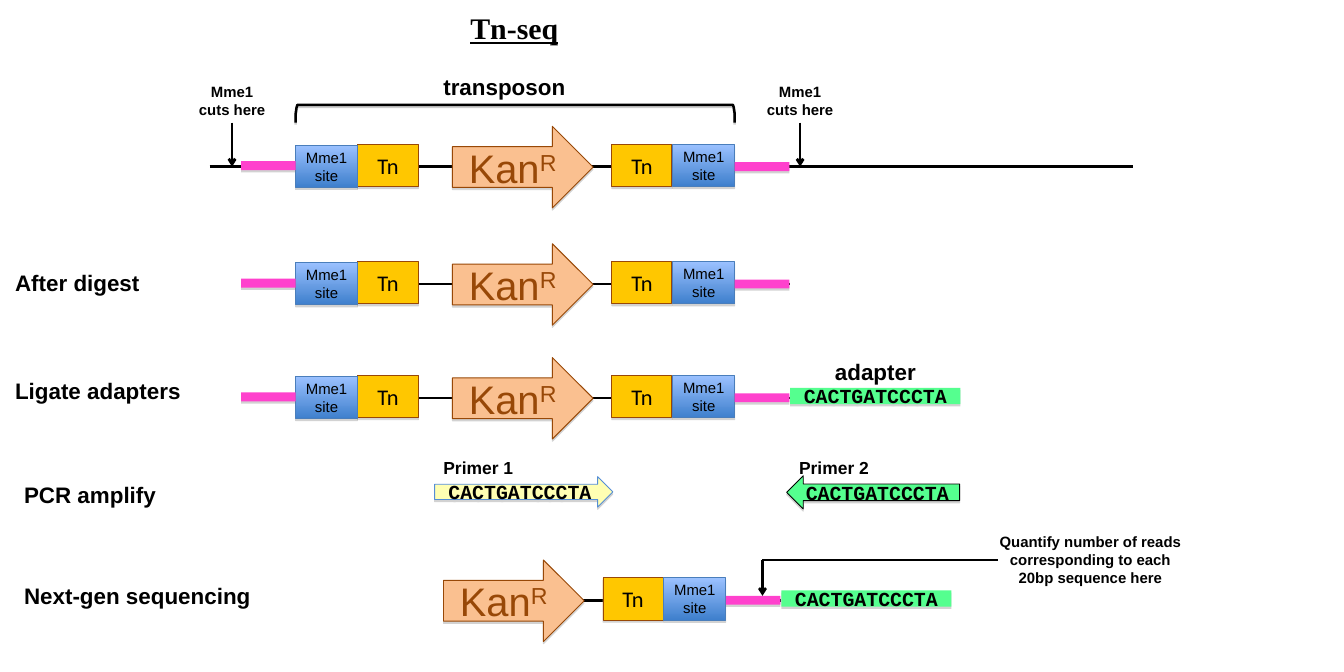
import pptx
import pptx.dml.color
import pptx.enum.shapes
import pptx.enum.text
import pptx.oxml
import pptx.oxml.ns
import pptx.util

SCALE = 9144  # EMU in one px, at 100 px to the inch

COLORS = {
    "black": "000000", "kan": "FAC090", "brown": "984807", "tn": "FFC700",
    "site_top": "9BC1FF", "site_bottom": "3F80CD", "site_line": "4A7EBB",
    "flank": "FF41CD", "adapter": "55FF8F", "primer": "FFFFB3",
    "primer_line": "558ED5", "shadow": "808080",
}

SHAPES = pptx.enum.shapes.MSO_SHAPE
LEFT = pptx.enum.text.PP_ALIGN.LEFT
CENTER = pptx.enum.text.PP_ALIGN.CENTER

FONTS = {
    "title": {"name": "Times New Roman", "size": 24, "bold": True, "underline": True},
    "heading": {"name": "Arial", "size": 18, "bold": True},
    "primer": {"name": "Arial", "size": 14, "bold": True},
    "note": {"name": "Arial", "size": 12, "bold": True},
    "kan": {"name": "Arial", "size": 32},
    "tn": {"name": "Calibri", "size": 18},
    "site": {"name": "Arial", "size": 12},
    "sequence": {"name": "Courier New", "size": 16, "bold": True},
}

SEQUENCE = "CACTGATCCCTA"

# kind, left, width, top relative to the axis of the row
LEFT_ARM = [("tn", 399, 68, -25), ("site", 330, 69, -24), ("flank", 269, 61, -6)]
RIGHT_ARM = [("kan", 505, 157, -45), ("tn", 683, 67, -25),
             ("site", 751, 69, -25), ("flank", 820, 61, -5)]

# fill, line, text, height
PARTS = {
    "kan": ("kan", "brown", "Kan", 91),
    "tn": ("tn", "brown", "Tn", 47),
    "site": (("site_top", "site_bottom"), "site_line", "Mme1 site", 47),
    "flank": ("flank", None, "", 10),
}


def px(value):
    return pptx.util.Emu(value * SCALE)


def rgb(name):
    return pptx.dml.color.RGBColor.from_string(COLORS[name])


def write_text(shape, text, style, align=CENTER, color="black"):
    frame = shape.text_frame
    frame.word_wrap = True
    paragraph = frame.paragraphs[0]
    paragraph.alignment = align
    run = paragraph.add_run()
    run.text = text
    format_font(run.font, style, color)
    return paragraph


def format_font(font, style, color):
    for name, value in FONTS[style].items():
        setattr(font, name, pptx.util.Pt(value) if name == "size" else value)
    font.color.rgb = rgb(color)


def add_shadow(shape, opacity, distance):
    """Give the shape a hard shadow straight below it."""
    shape.shadow.inherit = False
    effects = shape._element.spPr.find(pptx.oxml.ns.qn("a:effectLst"))
    effects.append(pptx.oxml.parse_xml(
        f'<a:outerShdw {pptx.oxml.ns.nsdecls("a")} blurRad="0" '
        f'dist="{pptx.util.Pt(distance)}" dir="5400000" rotWithShape="0">'
        f'<a:srgbClr val="{COLORS["shadow"]}"><a:alpha val="{opacity * 1000}"/>'
        '</a:srgbClr></a:outerShdw>'))


def add_block(slide, kind, box, fill, line=None):
    shape = slide.shapes.add_shape(kind, *map(px, box))
    if isinstance(fill, tuple):
        shape.fill.gradient()
        shape.fill.gradient_angle = 270
        for stop, name in zip(shape.fill.gradient_stops, fill):
            stop.color.rgb = rgb(name)
    else:
        shape.fill.solid()
        shape.fill.fore_color.rgb = rgb(fill)
    if line:
        shape.line.color.rgb = rgb(line)
        shape.line.width = pptx.util.Pt(0.75)
    else:
        shape.line.fill.background()
    add_shadow(shape, 35, 1.8)
    return shape


def add_label(slide, text, box, style="heading", align=LEFT):
    label = slide.shapes.add_textbox(*map(px, box))
    write_text(label, text, style, align)
    label.text_frame.auto_size = pptx.enum.text.MSO_AUTO_SIZE.SHAPE_TO_FIT_TEXT


def add_line(slide, start, end, arrow=False):
    connector = slide.shapes.add_connector(
        pptx.enum.shapes.MSO_CONNECTOR.STRAIGHT, *map(px, (*start, *end)))
    connector.line.color.rgb = rgb("black")
    connector.line.width = pptx.util.Pt(2)
    namespace = pptx.oxml.ns.nsdecls("a")
    if arrow:
        connector.line._get_or_add_ln().append(
            pptx.oxml.parse_xml(f'<a:tailEnd {namespace} type="arrow"/>'))
    connector._element.spPr.append(pptx.oxml.parse_xml(f"<a:effectLst {namespace}/>"))


def add_bracket(slide):
    points = [(330, 127), (331, 120), (332, 117), (818, 117), (819, 120), (820, 127), (820, 137)]
    builder = slide.shapes.build_freeform(330, 137, scale=SCALE)
    builder.add_line_segments(points, close=False)
    bracket = builder.convert_to_shape()
    bracket.fill.background()
    bracket.line.color.rgb = rgb("black")
    bracket.line.width = pptx.util.Pt(2)
    add_shadow(bracket, 38, 1.6)


def add_construct(slide, axis, backbone, parts, shift=0):
    """Draw one row of DNA: a backbone line with its parts on it."""
    start, end = backbone
    add_line(slide, (start, axis), (end, axis))
    for kind, left, width, top in parts:
        fill, line, text, height = PARTS[kind]
        outline = SHAPES.RIGHT_ARROW if kind == "kan" else SHAPES.RECTANGLE
        box = (left + shift, axis + top, width, height)
        shape = add_block(slide, outline, box, fill, line)
        if kind == "kan":
            paragraph = write_text(shape, text, "kan", color="brown")
            superscript = paragraph.add_run()
            superscript.text = "R"
            format_font(superscript.font, "kan", "brown")
            superscript._r.get_or_add_rPr().set("baseline", "30000")
        elif text:
            write_text(shape, text, kind)


def add_sequence(slide, kind, box, fill, line=None):
    write_text(add_block(slide, kind, box, fill, line), SEQUENCE, "sequence")


def add_title(slide, text):
    title = slide.shapes.title
    title.left, title.top, title.width, title.height = map(px, (102, 6, 944, 50))
    title.text_frame.vertical_anchor = pptx.enum.text.MSO_ANCHOR.TOP
    write_text(title, text, "title")


def main():
    presentation = pptx.Presentation()
    presentation.slide_width, presentation.slide_height = px(1500), px(750)
    slide = presentation.slides.add_slide(presentation.slide_layouts[5])
    add_title(slide, "Tn-seq")

    whole = RIGHT_ARM + LEFT_ARM
    add_construct(slide, 186, (234, 1265), whole)
    add_construct(slide, 317, (269, 882), whole)
    add_construct(slide, 444, (269, 882), whole)
    add_construct(slide, 670, (495, 872), RIGHT_ARM, shift=-10)

    add_bracket(slide)
    add_label(slide, "transposon", (485, 77, 217, 40))
    for cut in (259, 893):
        add_line(slide, (cut, 137), (cut, 186), arrow=True)
        add_label(slide, "Mme1 cuts here", (cut - 49, 87, 98, 50), "note", CENTER)

    for text, left, top, width in [
        ("After digest", 7, 296, 217), ("Ligate adapters", 7, 416, 217),
        ("PCR amplify", 17, 532, 217), ("Next-gen sequencing", 17, 645, 346),
    ]:
        add_label(slide, text, (left, top, width, 40))

    for left, top in [(882, 433), (872, 659)]:
        add_sequence(slide, SHAPES.RECTANGLE, (left, top, 190, 18), "adapter")
    add_label(slide, "adapter", (882, 395, 190, 40), align=CENTER)

    add_sequence(slide, SHAPES.RIGHT_ARROW, (485, 532, 199, 34), "primer", "primer_line")
    add_sequence(slide, SHAPES.LEFT_ARROW, (878, 531, 193, 37), "adapter", "black")
    for text, left in [("Primer 1", 485), ("Primer 2", 882)]:
        add_label(slide, text, (left, 505, 217, 34), "primer")

    add_line(slide, (851, 625), (851, 665), arrow=True)
    add_line(slide, (851, 625), (1114, 625))
    add_label(slide, "Quantify number of reads corresponding to each 20bp sequence here",
              (1098, 590, 238, 70), "note", CENTER)

    presentation.save("out.pptx")


if __name__ == "__main__":
    main()
